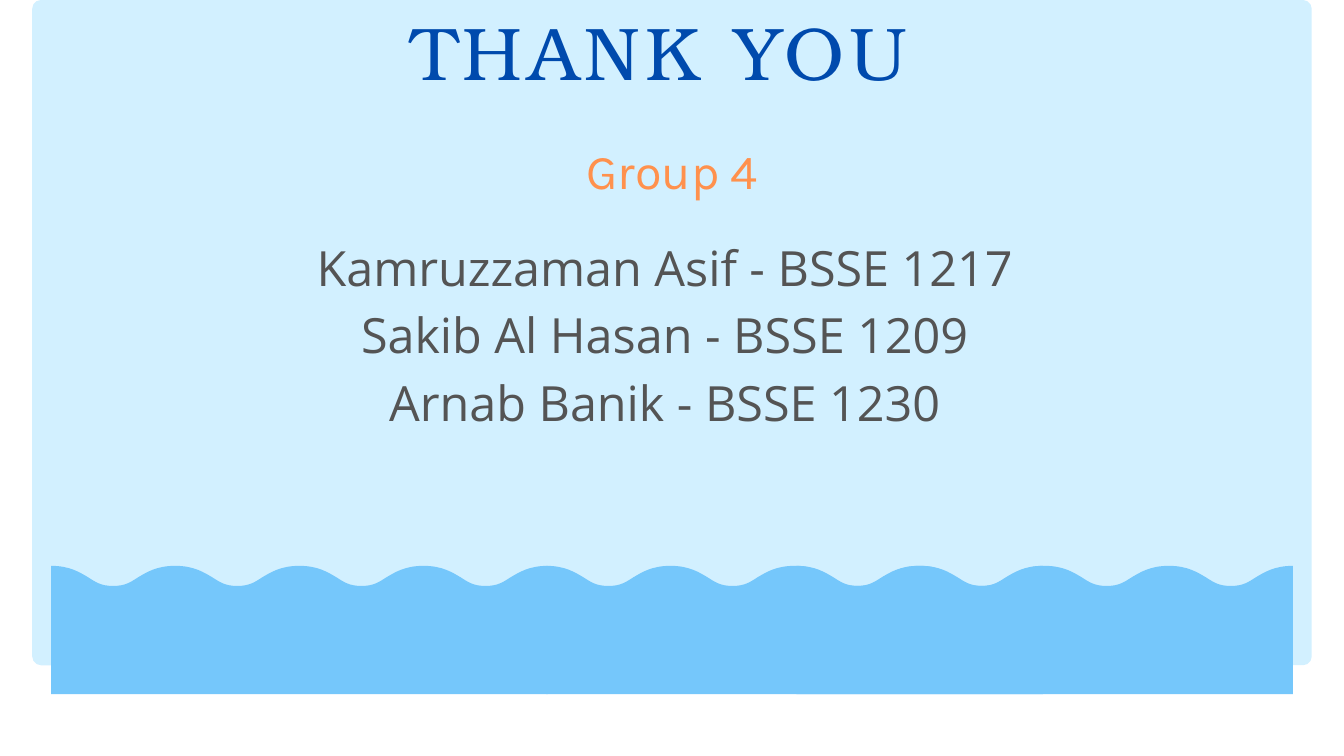
"""Build the closing slide: thanks, group members and a band of waves."""
from dataclasses import dataclass

from lxml import etree
from pptx import Presentation
from pptx import util as u
from pptx.dml.color import RGBColor
from pptx.enum import shapes, text
from pptx.oxml.ns import qn


@dataclass(frozen=True)
class Theme:
    panel: str = "D2F0FF"
    wave: str = "75C7FB"
    title: str = "004AAD"
    accent: str = "FF914D"
    body: str = "545454"
    title_font: str = "TeX Gyre Bonum"
    accent_font: str = "Karla"
    body_font: str = "Open Sans"
    title_size: float = 80
    body_size: float = 52
    title_leading: float = 64
    body_leading: float = 72.8


CRESTS = 4
BAND_WIDTH = 7.39
WAVE_LENGTH = BAND_WIDTH / CRESTS
FALL = ((0, 0), (0.28, 0), (0.43, 0.1), (0.55, 0.17),
        (0.66, 0.24), (0.74, 0.3), (WAVE_LENGTH / 2, 0.3))


def wave_curves():
    rise = [(WAVE_LENGTH - x, y) for x, y in reversed(FALL)]
    period = FALL[1:] + tuple(rise[1:])
    edge = [(x + crest * WAVE_LENGTH, y) for crest in range(CRESTS) for x, y in period]
    return [edge[start:start + 3] for start in range(0, len(edge), 3)]


def bend(shape, curves):
    straights = list(shape._element.iter(qn("a:lnTo")))
    for straight, curve in zip(straights, curves):
        bezier = etree.Element(qn("a:cubicBezTo"))
        for x, y in curve:
            etree.SubElement(bezier, qn("a:pt"), x=str(u.Inches(x)), y=str(u.Inches(y)))
        straight.getparent().replace(straight, bezier)


def write(paragraph, words, *, font, size, color, leading, spacing=0):
    paragraph.alignment = text.PP_ALIGN.CENTER
    paragraph.line_spacing = u.Pt(leading)
    run = paragraph.add_run()
    run.text = words
    run.font.name = font
    run.font.size = u.Pt(size)
    run.font.color.rgb = RGBColor.from_string(color)
    if spacing:
        run.font._element.set("spc", str(spacing * 100))


class SlideBuilder:
    def __init__(self, slide, theme):
        self.slide = slide
        self.theme = theme

    def paint(self, shape, color):
        shape.shadow.inherit = False
        shape.fill.solid()
        shape.fill.fore_color.rgb = RGBColor.from_string(color)
        shape.line.fill.background()

    def panel(self, left, top, width, height, radius):
        panel = self.slide.shapes.add_shape(
            shapes.MSO_SHAPE.ROUNDED_RECTANGLE,
            *map(u.Inches, (left, top, width, height)))
        panel.adjustments[0] = radius / min(width, height)
        self.paint(panel, self.theme.panel)

    def wave(self, left, top, height):
        curves = wave_curves()
        outline = [(0, 0), *(curve[-1] for curve in curves),
                   (BAND_WIDTH, height), (0, height)]
        points = [(u.Inches(left + x), u.Inches(top + y)) for x, y in outline]
        builder = self.slide.shapes.build_freeform(*points[0])
        builder.add_line_segments(points[1:], close=True)
        band = builder.convert_to_shape()
        bend(band, curves)
        self.paint(band, self.theme.wave)

    def lines(self, left, top, width, height, wording, **style):
        box = self.slide.shapes.add_textbox(*map(u.Inches, (left, top, width, height)))
        frame = box.text_frame
        frame.word_wrap = True
        frame.auto_size = text.MSO_AUTO_SIZE.SHAPE_TO_FIT_TEXT
        frame.margin_left = frame.margin_right = frame.margin_top = frame.margin_bottom = 0
        for index, words in enumerate(wording):
            paragraph = frame.add_paragraph() if index else frame.paragraphs[0]
            write(paragraph, words, **style)


def main():
    theme = Theme()
    deck = Presentation()
    deck.slide_width, deck.slide_height = u.Inches(20), u.Inches(11.25)
    closing = SlideBuilder(deck.slides.add_slide(deck.slide_layouts[6]), theme)

    closing.panel(0.48, 0, 19.04, 9.9, radius=0.13)
    for left in (0.76, 8.13, 11.85):
        closing.wave(left, 8.42, 1.91)

    closing.lines(4.86, 1.95, 10.29, 0.97, ["Group 4"],
                  font=theme.accent_font, size=theme.body_size,
                  color=theme.accent, leading=theme.body_leading)
    members = {"Kamruzzaman Asif": 1217, "Sakib Al Hasan": 1209, "Arnab Banik": 1230}
    closing.lines(0.38, 3.39, 19.03, 5.01,
                  [f"{name} - BSSE {roll}" for name, roll in members.items()],
                  font=theme.body_font, size=theme.body_size,
                  color=theme.body, leading=theme.body_leading)
    closing.lines(0.66, 0.53, 18.76, 1.26, ["THANK YOU "],
                  font=theme.title_font, size=theme.title_size,
                  color=theme.title, leading=theme.title_leading, spacing=6)

    deck.save("out.pptx")


if __name__ == "__main__":
    main()
